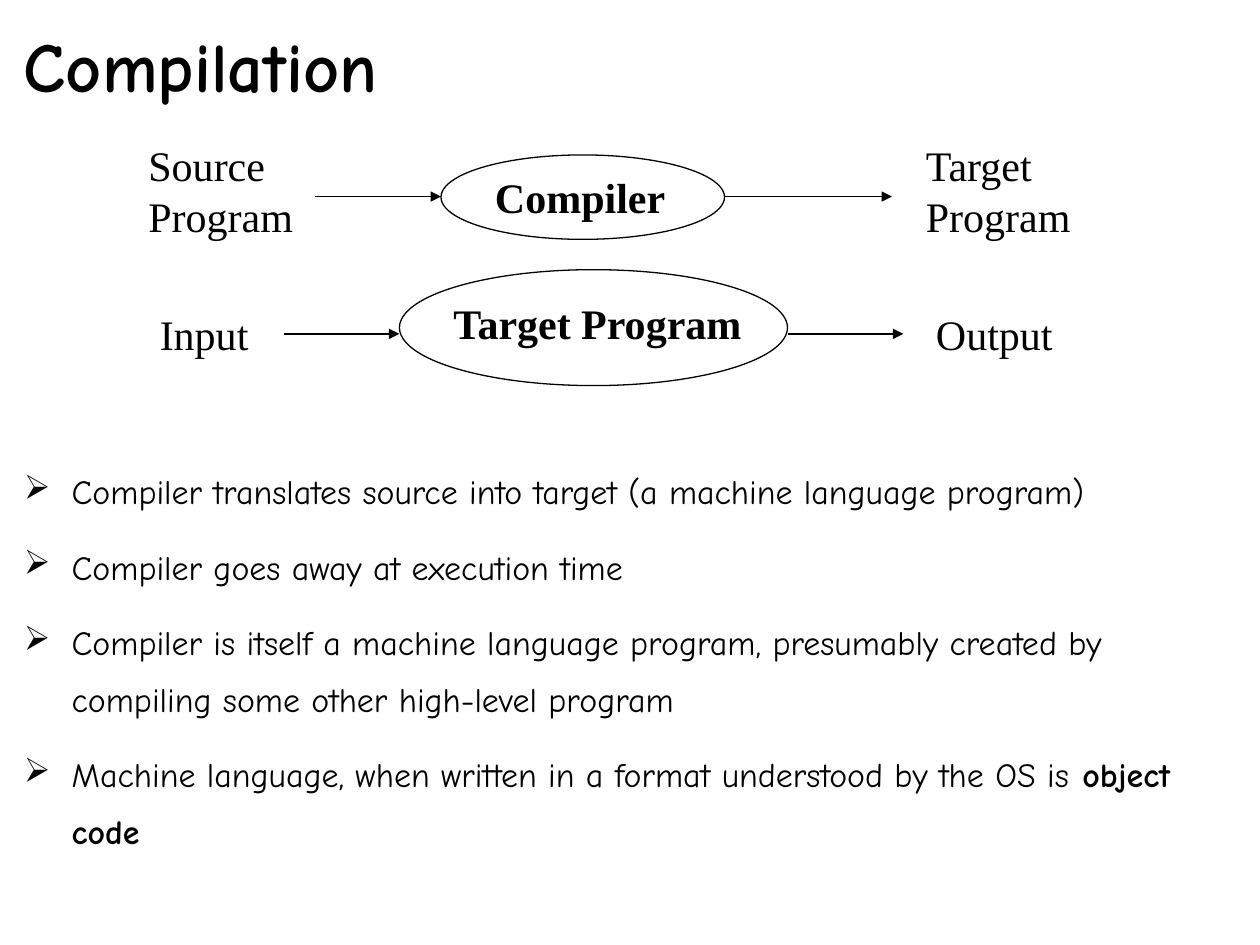
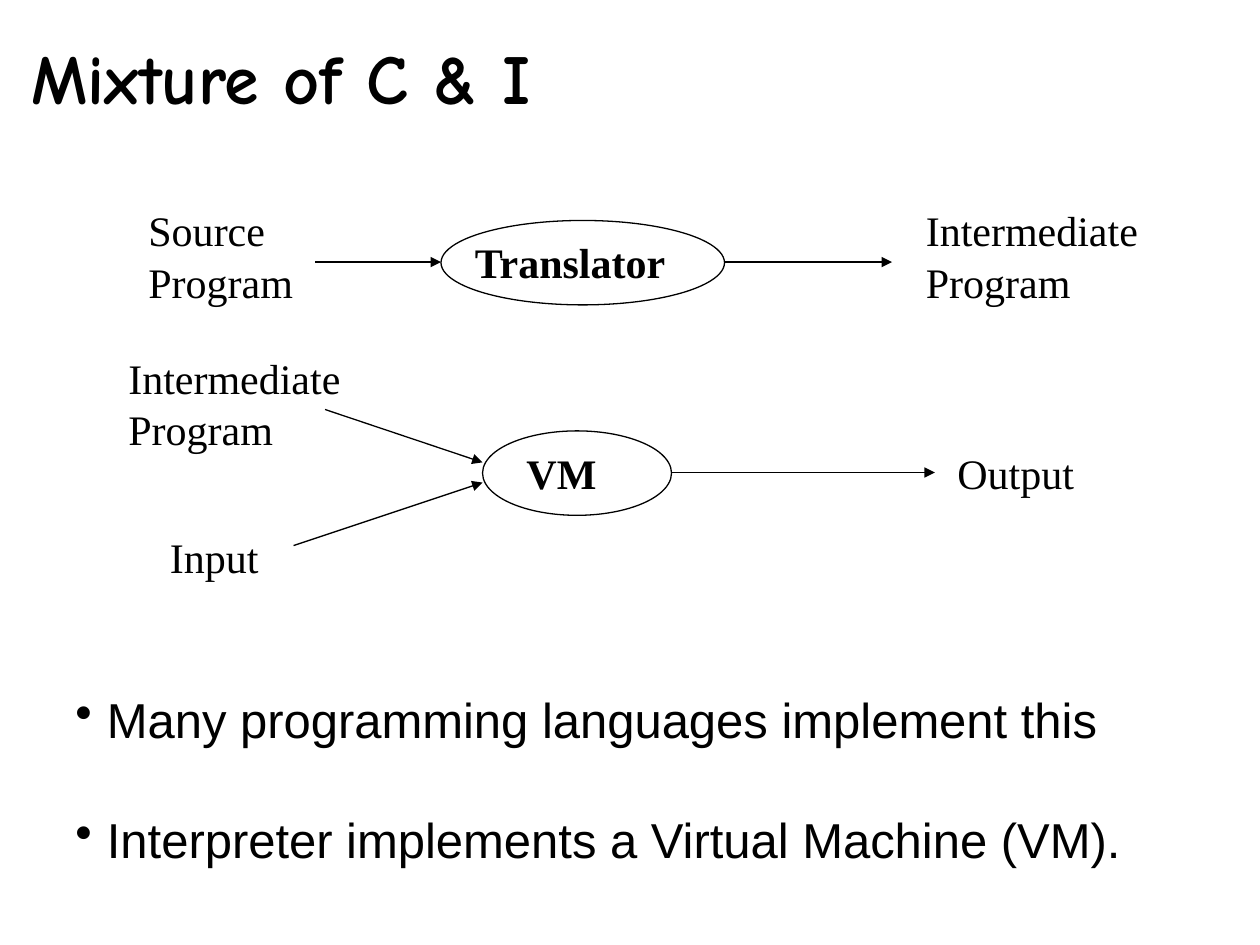
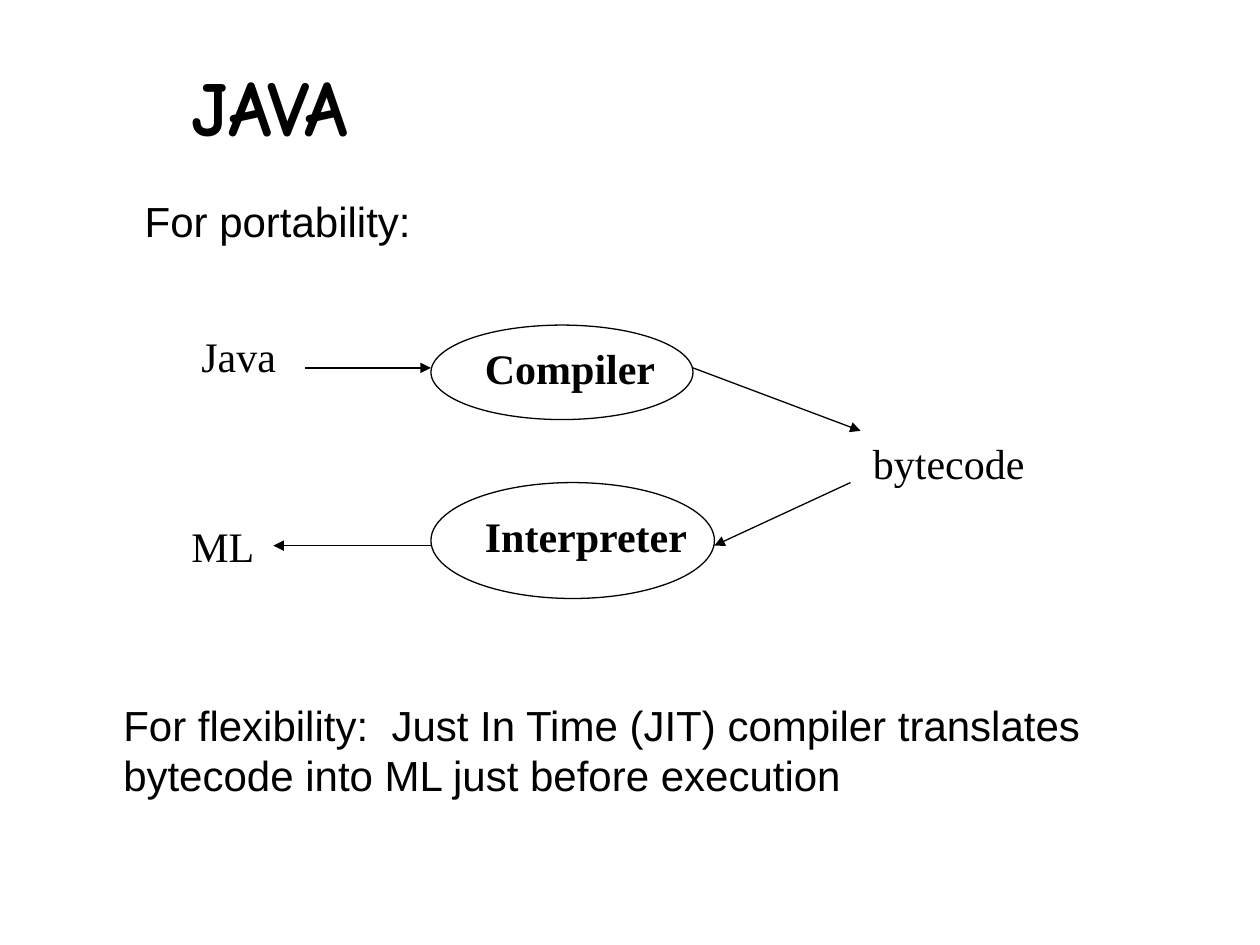
from pptx import Presentation
from pptx.dml.color import RGBColor
from pptx.enum import shapes, text
from pptx.oxml.ns import qn
from pptx.util import Inches, Pt

BLACK = RGBColor(0, 0, 0)
TITLE_FONT, LABEL_FONT, BODY_FONT = "Comic Neue", "Times New Roman", "Arial"
LINE_WIDTH = Pt(0.74)

# Content: boxes are (left, top, width, height) in inches.
# Nodes: ellipse box, label, label box. Labels: lines, box. Arrows: start, end.
# Notes: box, font, size, bullet, indent, line spacing, space before, paragraphs of (text, bold) runs.
SLIDES = [
    dict(
        title=("Compilation", (0.09, 0.13, 8.76, 0.77), 40),
        nodes=[
            ((3.5, 1.23, 2.25, 0.67), "Compiler", (3.83, 1.31, 1.67, 0.5)),
            ((3.17, 2.14, 3.08, 0.92), "Target Program", (3.5, 2.31, 2.58, 0.5)),
        ],
        labels=[
            (["Source", "Program"], (1.08, 1.23, 1.5, 0.71)),
            (["Target", "Program"], (7.25, 1.23, 1.42, 0.71)),
            (["Input"], (1.17, 2.4, 1, 0.5)),
            (["Output"], (7.33, 2.4, 1.17, 0.5)),
        ],
        arrows=[
            ((2.5, 1.56), (3.5, 1.56)),
            ((5.75, 1.56), (7.08, 1.56)),
            ((2.25, 2.65), (3.17, 2.65)),
            ((6.25, 2.65), (7.17, 2.65)),
        ],
        notes=[dict(
            box=(0.09, 3.56, 9.91, 3), font=TITLE_FONT, size=19.4,
            bullet="➢", indent=0.38, spacing=1.4, before=10.5,
            paragraphs=[
                [("Compiler translates source into target (a machine language program)", False)],
                [("Compiler goes away at execution time", False)],
                [("Compiler is itself a machine language program, presumably created by "
                  "compiling some other high-level program", False)],
                [("Machine language, when written in a format understood by the OS is ", False),
                 ("object code", True)],
            ])],
    ),
    dict(
        title=("Mixture of C & I", (0.15, 0.22, 9.1, 0.77), 40),
        nodes=[
            ((3.5, 1.75, 2.25, 0.67), "Translator", (3.67, 1.83, 1.83, 0.5)),
            ((3.83, 3.42, 1.5, 0.67), "VM", (4.08, 3.5, 1, 0.5)),
        ],
        labels=[
            (["Source", "Program"], (1.08, 1.75, 1.5, 0.71)),
            (["Intermediate", "Program"], (7.25, 1.75, 2, 0.71)),
            (["Intermediate", "Program"], (0.92, 2.92, 2.25, 0.71)),
            (["Input"], (1.25, 4.17, 1, 0.5)),
            (["Output"], (7.5, 3.5, 1.17, 0.5)),
        ],
        arrows=[
            ((2.5, 2.08), (3.5, 2.08)),
            ((5.75, 2.08), (7.08, 2.08)),
            ((2.58, 3.25), (3.83, 3.67)),
            ((5.33, 3.75), (7.42, 3.75)),
            ((2.33, 4.33), (3.83, 3.83)),
        ],
        notes=[dict(
            box=(0.5, 5.42, 9.08, 1.5), font=BODY_FONT, size=28,
            bullet="•", indent=0.25, spacing=1, before=35,
            paragraphs=[
                [("Many programming languages implement this", False)],
                [("Interpreter implements a Virtual Machine (VM).", False)],
            ])],
    ),
    dict(
        title=("JAVA", (1.42, 0.41, 6.16, 0.85), 45),
        nodes=[
            ((3.42, 2.58, 2.08, 0.75), "Compiler", (3.75, 2.67, 1.58, 0.5)),
            ((3.42, 3.83, 2.25, 0.92), "Interpreter", (3.75, 4, 1.83, 0.5)),
        ],
        labels=[
            (["Java"], (1.5, 2.75, 1, 0.3)),
            (["bytecode"], (6.83, 3.42, 1.75, 0.5)),
            (["ML"], (1.42, 4.08, 0.92, 0.5)),
        ],
        arrows=[
            ((2.42, 2.92), (3.42, 2.92)),
            ((5.5, 2.92), (6.83, 3.42)),
            ((3.42, 4.33), (2.17, 4.33)),
            ((6.75, 3.83), (5.67, 4.33)),
        ],
        notes=[
            dict(box=box, font=BODY_FONT, size=24, bullet=None, indent=0.13,
                 spacing=1, before=6, paragraphs=[[(words, False)]])
            for box, words in [
                ((0.92, 1.5, 6.83, 0.5), "For portability:"),
                ((0.75, 5.5, 8.58, 0.9), "For flexibility:  Just In Time (JIT) compiler "
                                         "translates bytecode into ML just before execution"),
            ]
        ],
    ),
]


def format_font(font, name, size, bold=False):
    font.name, font.size, font.bold = name, Pt(size), bold
    font.color.rgb = BLACK


def add_box(s, box):
    tf = s.shapes.add_textbox(*map(Inches, box)).text_frame
    tf.word_wrap = True
    return tf


def set_title(s, words, box, size):
    sp = s.shapes.title
    sp.left, sp.top, sp.width, sp.height = map(Inches, box)
    tf = sp.text_frame
    tf.text = words
    tf.auto_size = text.MSO_AUTO_SIZE.NONE
    tf.vertical_anchor = text.MSO_ANCHOR.TOP
    p = tf.paragraphs[0]
    p.alignment = text.PP_ALIGN.LEFT
    format_font(p.runs[0].font, TITLE_FONT, size, True)


def add_label(s, lines, box, bold=False):
    tf = add_box(s, box)
    tf.text = "\n".join(lines)
    for p in tf.paragraphs:
        p.space_before = Pt(15)
        if box[3] != 0.5:  # tight labels use half line spacing
            p.line_spacing = 0.5
        format_font(p.runs[0].font, LABEL_FONT, 24, bold)


def add_node(s, box, label, label_box):
    sp = s.shapes.add_shape(shapes.MSO_SHAPE.OVAL, *map(Inches, box))
    sp.shadow.inherit = False
    sp.fill.background()
    sp.line.color.rgb = BLACK
    sp.line.width = LINE_WIDTH
    add_label(s, [label], label_box, bold=True)


def add_arrow(s, start, end):
    line = s.shapes.add_connector(shapes.MSO_CONNECTOR.STRAIGHT, *map(Inches, start + end))
    line.line.color.rgb = BLACK
    line.line.width = LINE_WIDTH
    ln = line.line._get_or_add_ln()
    ln.append(ln.makeelement(qn("a:tailEnd"), {"type": "triangle"}))
    ln.addnext(ln.makeelement(qn("a:effectLst"), {}))


def add_note(s, box, font, size, bullet, indent, spacing, before, paragraphs):
    tf = add_box(s, box)
    for i, runs in enumerate(paragraphs):
        p = tf.add_paragraph() if i else tf.paragraphs[0]
        p.line_spacing = float(spacing)
        p.space_before = Pt(before if i or not bullet else 0)
        pPr = p._p.get_or_add_pPr()
        pPr.set("marL", str(Inches(indent)))
        if bullet:
            pPr.set("indent", str(-Inches(indent)))
            pPr.append(pPr.makeelement(qn("a:buChar"), {"char": bullet}))
        for words, bold in runs:
            r = p.add_run()
            r.text = words
            format_font(r.font, font, size, bold)


# Build the slides
prs = Presentation()
prs.slide_width, prs.slide_height = Inches(10), Inches(7.5)
title_only = prs.slide_layouts[5]
for content in SLIDES:
    s = prs.slides.add_slide(title_only)
    set_title(s, *content["title"])
    for node in content["nodes"]:
        add_node(s, *node)
    for label in content["labels"]:
        add_label(s, *label)
    for arrow in content["arrows"]:
        add_arrow(s, *arrow)
    for note in content["notes"]:
        add_note(s, **note)

prs.save("out.pptx")
